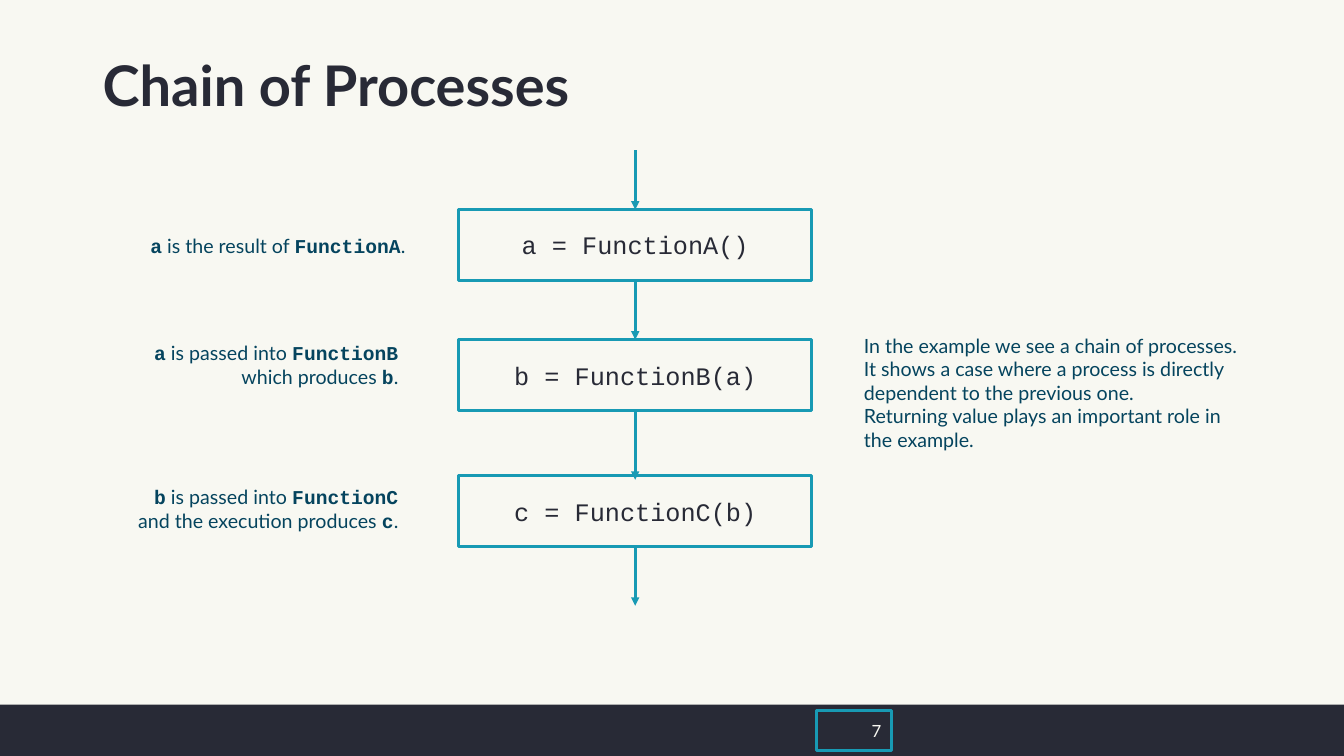
from lxml import etree
from pptx import Presentation
from pptx.dml.color import RGBColor
from pptx.enum.shapes import MSO_CONNECTOR, MSO_SHAPE
from pptx.enum.text import MSO_ANCHOR, PP_ALIGN
from pptx.oxml.ns import qn
from pptx.util import Inches, Pt

COLORS = {"paper": "F8F8F2", "ink": "282A36", "accent": "189AB4", "note": "05445E"}
RGB = {name: RGBColor.from_string(value) for name, value in COLORS.items()}
BODY, CODE = "Lato", "Courier New"


def add_box(at, fill=None, line=None):
    sp = s.shapes.add_shape(MSO_SHAPE.RECTANGLE, *[Inches(v) for v in at])
    sp.shadow.inherit = False
    if fill:
        sp.fill.solid()
        sp.fill.fore_color.rgb = RGB[fill]
    else:
        sp.fill.background()
    if line:
        sp.line.color.rgb = RGB[line]
        sp.line.width = Pt(2)
    else:
        sp.line.fill.background()
    return sp


def set_text(sp, text, size, color, align=PP_ALIGN.LEFT, font=BODY, bold=False):
    """Words between backticks are set in bold code type."""
    tf = sp.text_frame
    tf.word_wrap = True
    tf.vertical_anchor = MSO_ANCHOR.MIDDLE
    for i, line in enumerate(text.split("\n")):
        p = tf.add_paragraph() if i else tf.paragraphs[0]
        p.alignment = align
        for j, part in enumerate(line.split("`")):
            if not part:
                continue
            if part.startswith("\v"):
                p.add_line_break()
            r = p.add_run()
            r.text = part.lstrip("\v")
            r.font.name = CODE if j % 2 else font
            r.font.bold = bold or j % 2 == 1
            r.font.size = Pt(size)
            r.font.color.rgb = RGB[color]


prs = Presentation()
prs.slide_width, prs.slide_height = Inches(13.33), Inches(7.5)
s = prs.slides.add_slide(prs.slide_layouts[6])
s.background.fill.solid()
s.background.fill.fore_color.rgb = RGB["paper"]

# Footer with page number
add_box((0, 6.99, 13.33, 0.52), fill="ink")
page = add_box((8.1, 7.05, 0.74, 0.4), line="accent")
set_text(page, "7", 12, "paper", PP_ALIGN.RIGHT)

# Process boxes
for top, call in [(2.08, "a = FunctionA()"), (3.37, "b = FunctionB(a)"),
                  (4.72, "c = FunctionC(b)")]:
    step = add_box((4.55, top, 3.5, 0.7), "paper", "accent")
    set_text(step, call, 18, "ink", PP_ALIGN.CENTER, CODE)

# Arrows into, between and out of the boxes
for start, end in [(1.49, 2.08), (2.78, 3.37), (4.07, 4.76), (5.42, 6.01)]:
    arrow = s.shapes.add_connector(MSO_CONNECTOR.STRAIGHT, Inches(6.3), Inches(start),
                                   Inches(6.3), Inches(end))
    arrow.line.color.rgb = RGB["accent"]
    arrow.line.width = Pt(2)
    etree.SubElement(arrow.line._get_or_add_ln(), qn("a:tailEnd"), type="triangle")
    etree.SubElement(arrow._element.spPr, qn("a:effectLst"))

# Title, step notes and explanation
texts = [
    ((0.92, 0.15, 5.57, 1.45), "Chain of Processes", 40, "ink", PP_ALIGN.LEFT, BODY, True),
    ((1.09, 2.19, 3.03, 0.49), "`a` is the result of `FunctionA`.",
     14, "note", PP_ALIGN.RIGHT),
    ((1.02, 3.37, 3.03, 0.49), "`a` is passed into `FunctionB` which produces `b`.",
     14, "note", PP_ALIGN.RIGHT),
    ((1.02, 4.8, 3.03, 0.49),
     "`b` is passed into `FunctionC`\vand the execution produces `c`.",
     14, "note", PP_ALIGN.RIGHT),
    ((8.47, 3.29, 4.01, 1.21),
     "In the example we see a chain of processes. It shows a case where a process "
     "is directly dependent to the previous one.\n"
     "Returning value plays an important role in the example.", 14, "note"),
]
for at, *content in texts:
    tb = s.shapes.add_textbox(*[Inches(v) for v in at])
    set_text(tb, *content)
    if content[1] == 40:
        tb.text_frame.paragraphs[0].line_spacing = 0.9

prs.save("out.pptx")
